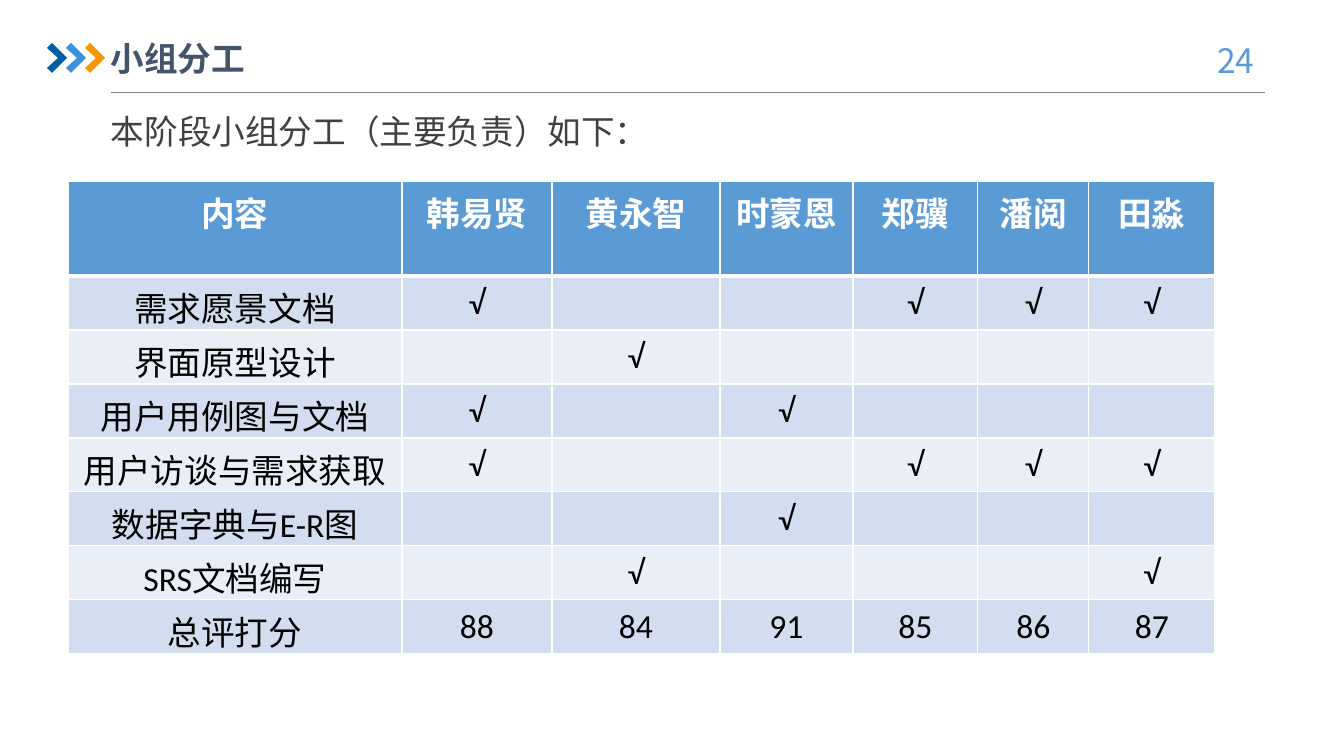
from pptx import Presentation
from pptx.dml.color import RGBColor
from pptx.enum.shapes import MSO_CONNECTOR
from pptx.enum.text import MSO_ANCHOR, PP_ALIGN
from pptx.oxml import parse_xml
from pptx.oxml.ns import nsdecls, qn
from pptx.util import Pt

CENTER, LEFT = PP_ALIGN.CENTER, PP_ALIGN.LEFT
TOP, MIDDLE = MSO_ANCHOR.TOP, MSO_ANCHOR.MIDDLE
STRAIGHT = MSO_CONNECTOR.STRAIGHT

EMU_PER_PX = 9071
CJK_FONT, TABLE_FONT = "Noto Sans CJK SC", "Calibri"
TEXT_SIZE = 24

WHITE = RGBColor(0xFF, 0xFF, 0xFF)
BLACK = RGBColor(0x00, 0x00, 0x00)
GRAY = RGBColor(0x80, 0x80, 0x80)
DARK_GRAY = RGBColor(0x40, 0x40, 0x40)
SLATE = RGBColor(0x44, 0x54, 0x6A)
BLUE = RGBColor(0x5B, 0x9B, 0xD5)
BAND_DARK = RGBColor(0xD2, 0xDE, 0xEF)
BAND_LIGHT = RGBColor(0xEA, 0xEF, 0xF7)
CHEVRON_COLORS = (RGBColor(0x00, 0x5D, 0xA2), RGBColor(0x39, 0x92, 0xDB),
                  RGBColor(0xF7, 0x96, 0x00))
CHEVRON_OUTLINE = ((0, 5), (5, 0), (20, 15), (5, 30), (0, 25), (11, 15))

COLUMN_WIDTHS = (334, 150, 168, 133, 125, 111, 126)
HEADER_HEIGHT, ROW_HEIGHT = 95, 54
CHECK = "√"
MEMBERS = ("韩易贤", "黄永智", "时蒙恩", "郑骥", "潘阅", "田淼")
TASKS = (
    ("需求愿景文档", ("韩易贤", "郑骥", "潘阅", "田淼")),
    ("界面原型设计", ("黄永智",)),
    ("用户用例图与文档", ("韩易贤", "时蒙恩")),
    ("用户访谈与需求获取", ("韩易贤", "郑骥", "潘阅", "田淼")),
    ("数据字典与E-R图", ("时蒙恩",)),
    ("SRS文档编写", ("黄永智", "田淼")),
)
SCORES = ("88", "84", "91", "85", "86", "87")


def px(value):
    return value * EMU_PER_PX


def write_text(frame, text, color, font=CJK_FONT, bold=False, align=CENTER):
    frame.text = text
    para = frame.paragraphs[0]
    para.alignment = align
    for span in para.runs:
        span.font.size = Pt(TEXT_SIZE)
        span.font.name = font
        span.font.bold = bold
        span.font.color.rgb = color
        east_asian = span.font._element.makeelement(qn("a:ea"), {"typeface": CJK_FONT})
        span.font._element.find(qn("a:latin")).addnext(east_asian)
    return para


def place_title(page, text, left, top, width, height):
    title = page.shapes.title
    title.left, title.top, title.width, title.height = map(px, (left, top, width, height))
    frame = title.text_frame
    frame.margin_left = frame.margin_right = 0
    frame.vertical_anchor = MIDDLE
    frame.word_wrap = False
    write_text(frame, text, SLATE, bold=True)


def add_text(page, text, color, left, top, width, height, align):
    box = page.shapes.add_textbox(*map(px, (left, top, width, height)))
    box.text_frame.word_wrap = True
    return write_text(box.text_frame, text, color, align=align)


def add_rule(page, left, right, top):
    rule = page.shapes.add_connector(STRAIGHT, px(left), px(top), px(right), px(top))
    rule.line.color.rgb = GRAY
    rule.line.width = Pt(0.5)
    rule._element.spPr.append(parse_xml(f"<a:effectLst {nsdecls('a')}/>"))


def add_chevron(page, left, top, color):
    points = [(left + x, top + y) for x, y in CHEVRON_OUTLINE]
    builder = page.shapes.build_freeform(*points[0], scale=EMU_PER_PX)
    builder.add_line_segments(points[1:], close=True)
    chevron = builder.convert_to_shape()
    chevron.shadow.inherit = False
    chevron.fill.solid()
    chevron.fill.fore_color.rgb = color
    chevron.line.fill.background()


def set_borders(cell, widths):
    properties = cell._tc.get_or_add_tcPr()
    for index, (side, points) in enumerate(widths.items()):
        border = parse_xml(
            f'<a:{side} {nsdecls("a")} w="{Pt(points)}"><a:solidFill>'
            f'<a:srgbClr val="{WHITE}"/></a:solidFill></a:{side}>')
        properties.insert(index, border)


def fill_cell(cell, text, row):
    header = row == 0
    cell.margin_left = cell.margin_right = px(13)
    cell.margin_top = px(7)
    cell.margin_bottom = 0
    cell.vertical_anchor = TOP
    cell.fill.solid()
    cell.fill.fore_color.rgb = BLUE if header else BAND_DARK if row % 2 else BAND_LIGHT
    set_borders(cell, {"lnL": 1, "lnR": 1, "lnT": 3 if row == 1 else 1,
                       "lnB": 3 if header else 1})
    if text:
        write_text(cell.text_frame, text, WHITE if header else BLACK, TABLE_FONT, header)
    else:
        cell.text_frame.paragraphs[0].font.size = Pt(TEXT_SIZE)


def add_task_table(page, left, top):
    rows = [("内容", *MEMBERS)]
    for task, owners in TASKS:
        rows.append((task, *(CHECK if name in owners else "" for name in MEMBERS)))
    rows.append(("总评打分", *SCORES))
    height = HEADER_HEIGHT + ROW_HEIGHT * (len(rows) - 1)
    table = page.shapes.add_table(len(rows), len(COLUMN_WIDTHS), px(left), px(top),
                                  px(sum(COLUMN_WIDTHS)), px(height)).table
    for column, width in zip(table.columns, COLUMN_WIDTHS):
        column.width = px(width)
    for row, texts in enumerate(rows):
        table.rows[row].height = px(ROW_HEIGHT if row else HEADER_HEIGHT)
        for column, text in enumerate(texts):
            fill_cell(table.cell(row, column), text, row)


def main():
    deck = Presentation()
    deck.slide_width, deck.slide_height = px(1344), px(756)
    page = deck.slides.add_slide(deck.slide_layouts.get_by_name("Title Only"))

    # Heading band
    add_rule(page, 111, 1265, 92)
    for index, color in enumerate(CHEVRON_COLORS):
        add_chevron(page, 47 + 19 * index, 43, color)
    add_text(page, "24 ", BLUE, 1190, 35, 99, 50, CENTER)
    place_title(page, "小组分工", 101, 31, 154, 55)

    # Introduction and division of work
    intro = add_text(page, "本阶段小组分工（主要负责）如下：", DARK_GRAY, 101, 86, 572, 65, LEFT)
    intro.line_spacing = 1.5
    add_task_table(page, 68, 181)

    deck.save("out.pptx")


if __name__ == "__main__":
    main()
